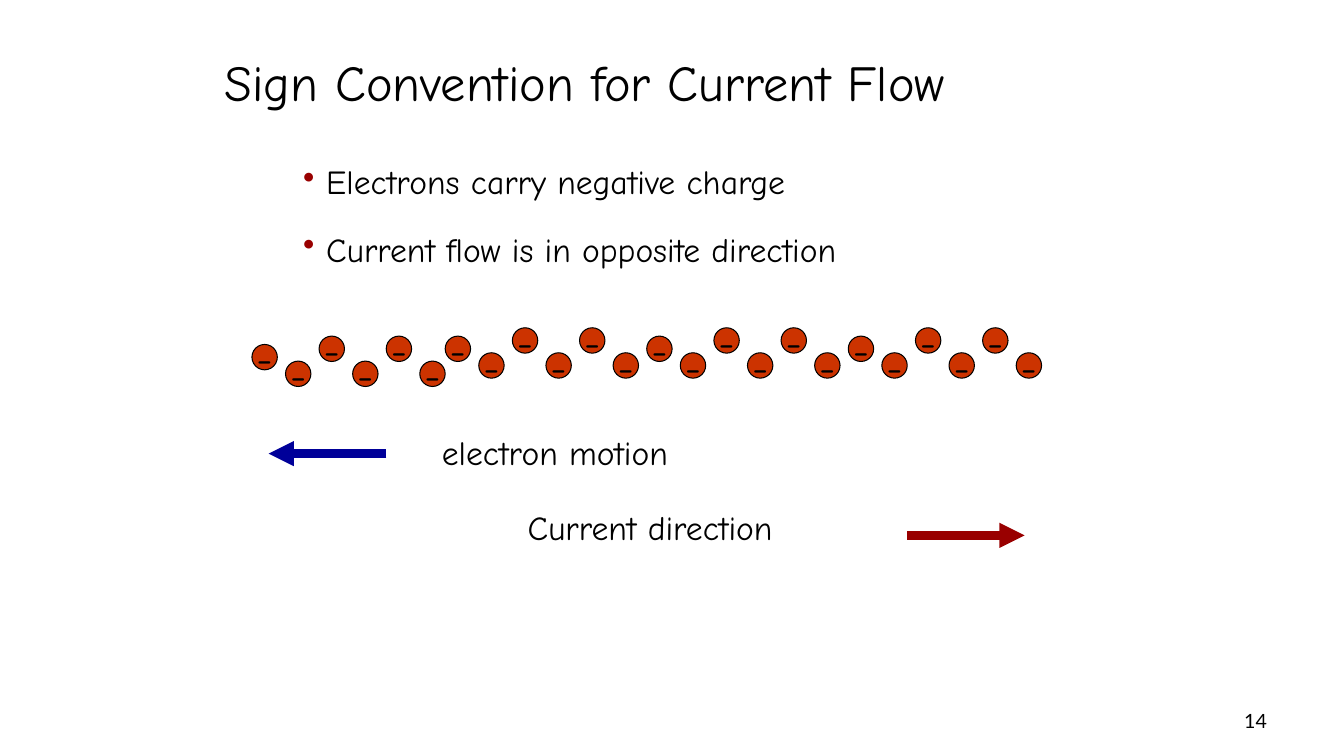
from lxml.etree import SubElement
from pptx import Presentation
from pptx.dml.color import RGBColor
from pptx.enum.shapes import MSO_CONNECTOR, MSO_SHAPE
from pptx.enum.text import MSO_ANCHOR, MSO_AUTO_SIZE, PP_ALIGN
from pptx.oxml.ns import qn
from pptx.util import Cm, Pt

COLORS = {"black": "000000", "white": "FFFFFF", "electron": "CC3300",
          "motion": "000099", "current": "990000"}
FONT, NUMBER_FONT = "Comic Neue", "Lato"

TITLE = ("Sign Convention for Current Flow", (5.41, 1.17, 20.83, 1.78))
BULLETS = [
    (" Electrons carry negative charge", (7.39, 3.94, 13.84, 1.27)),
    (" Current flow is in opposite direction", (7.39, 5.64, 15.39, 1.27)),
]
LABELS = [
    ("electron motion", (10.62, 10.77, 6.73, 1.3)),
    ("Current direction", (12.65, 12.65, 7.47, 1.3)),
]
ARROWS = [
    ("motion", 9.74, 6.77, 11.43),
    ("current", 22.86, 25.82, 13.49),
]
SLIDE_NUMBER = ("14", (24.28, 17.65, 7.9, 1.02))
ELECTRON_SIZE = 0.64
ELECTRON_RUNS = [
    (6.35, 10.58, [8.68, 9.1] + [8.47, 9.1] * 2),
    (11.22, 25.61, [8.47, 8.89, 8.26, 8.89, 8.26, 8.89] * 3),
]


def color(name):
    """Return the named colour."""
    return RGBColor.from_string(COLORS[name])


def write(shape, text, size, align, font=FONT, anchor=MSO_ANCHOR.TOP, wrap=False, grow=True):
    """Put one formatted paragraph into a shape and return it."""
    frame = shape.text_frame
    frame.text = text
    frame.word_wrap = wrap
    frame.vertical_anchor = anchor
    frame.auto_size = MSO_AUTO_SIZE.SHAPE_TO_FIT_TEXT if grow else MSO_AUTO_SIZE.NONE
    paragraph = frame.paragraphs[0]
    paragraph.alignment = align
    run_font = paragraph.runs[0].font
    run_font.name, run_font.size = font, Pt(size)
    run_font.color.rgb = color("black")
    return paragraph


def add_text(slide, text, box, size, align, **options):
    """Add a text box and return its paragraph."""
    shape = slide.shapes.add_textbox(*map(Cm, box))
    return write(shape, text, size, align, **options)


def add_shape(shapes, kind, box, fill):
    """Add a filled shape without a shadow."""
    shape = shapes.add_shape(kind, *map(Cm, box))
    shape.shadow.inherit = False
    shape.fill.solid()
    shape.fill.fore_color.rgb = color(fill)
    return shape


def add_electrons(slide):
    """Add the rows of evenly spaced electrons as one group."""
    group = slide.shapes.add_group_shape()
    for first, last, tops in ELECTRON_RUNS:
        step = (last - first) / (len(tops) - 1)
        for index, top in enumerate(tops):
            box = (first + index * step, top, ELECTRON_SIZE, ELECTRON_SIZE)
            electron = add_shape(group.shapes, MSO_SHAPE.OVAL, box, "electron")
            electron.line.color.rgb = color("black")
            electron.line.width = Pt(0.75)
            write(electron, "-", 28, PP_ALIGN.CENTER, anchor=MSO_ANCHOR.MIDDLE, grow=False)


def add_arrow(slide, name, start, end, height):
    """Add a thick horizontal arrow."""
    arrow = slide.shapes.add_connector(
        MSO_CONNECTOR.STRAIGHT, Cm(start), Cm(height), Cm(end), Cm(height))
    arrow.line.color.rgb = color(name)
    arrow.line.width = Pt(6)
    SubElement(arrow.line._get_or_add_ln(), qn("a:tailEnd"), type="triangle")
    SubElement(arrow._element.spPr, qn("a:effectLst"))


def add_bullet(paragraph):
    """Give a paragraph a red bullet."""
    properties = paragraph._p.get_or_add_pPr()
    bullet_color = SubElement(properties, qn("a:buClr"))
    SubElement(bullet_color, qn("a:srgbClr"), val=COLORS["current"])
    SubElement(properties, qn("a:buChar"), char="•")


def main():
    """Build and save the slide."""
    presentation = Presentation()
    presentation.slide_width, presentation.slide_height = Cm(33.87), Cm(19.05)
    slide = presentation.slides.add_slide(presentation.slide_layouts[6])

    number, box = SLIDE_NUMBER
    add_text(slide, number, box, 14, PP_ALIGN.RIGHT, font=NUMBER_FONT,
             anchor=MSO_ANCHOR.MIDDLE, wrap=True, grow=False)
    add_electrons(slide)
    for (text, box), arrow in zip(LABELS, ARROWS):
        add_text(slide, text, box, 24, PP_ALIGN.CENTER)
        add_arrow(slide, *arrow)

    text, box = TITLE
    title = add_shape(slide.shapes, MSO_SHAPE.RECTANGLE, box, "white")
    title.line.fill.background()
    write(title, text, 36, PP_ALIGN.LEFT, anchor=MSO_ANCHOR.MIDDLE, wrap=True)
    for text, box in BULLETS:
        add_bullet(add_text(slide, text, box, 24, PP_ALIGN.LEFT))

    presentation.save("out.pptx")


if __name__ == "__main__":
    main()
